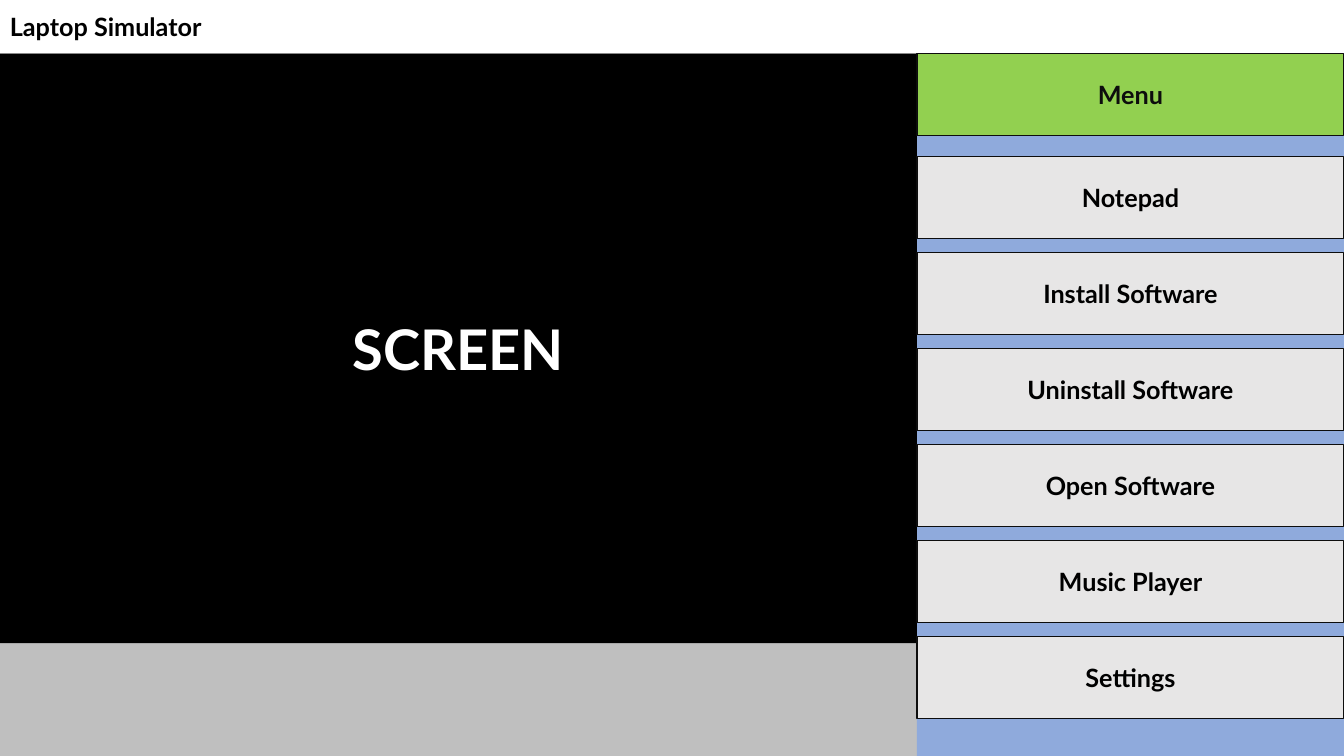
"""Build the Laptop Simulator slide with its screen and menu panel."""
from pptx import Presentation
from pptx.dml.color import RGBColor
from pptx.enum.shapes import MSO_SHAPE
from pptx.enum.text import MSO_ANCHOR, PP_ALIGN
from pptx.util import Cm, Pt

RECTANGLE = MSO_SHAPE.RECTANGLE
MIDDLE = MSO_ANCHOR.MIDDLE
LEFT, CENTER = PP_ALIGN.LEFT, PP_ALIGN.CENTER

PAGE_WIDTH, PAGE_HEIGHT = 33.87, 19.05
TITLE_HEIGHT = 1.35
SCREEN_WIDTH, SCREEN_HEIGHT = 23.11, 14.86
PANEL_WIDTH = PAGE_WIDTH - SCREEN_WIDTH
BUTTON_HEIGHT, BUTTON_PITCH = 2.06, 2.42
FIRST_BUTTON_TOP = 3.94
BUTTONS = ["Notepad", "Install Software", "Uninstall Software",
           "Open Software", "Music Player", "Settings"]


def color(code):
    return RGBColor.from_string(code)


class Painter:
    """Hold the text style and the current page."""

    font = "Lato"
    edge = "0D0D0D"

    def __init__(self, page):
        self.page = page

    def background(self, fill):
        self.page.background.fill.solid()
        self.page.background.fill.fore_color.rgb = color(fill)

    def box(self, left, top, width, height, fill):
        box = self.page.shapes.add_shape(
            RECTANGLE, Cm(left), Cm(top), Cm(width), Cm(height))
        box.shadow.inherit = False
        box.fill.solid()
        box.fill.fore_color.rgb = color(fill)
        box.line.fill.background()
        return box

    def text(self, box, words, ink="000000", size=18, align=CENTER):
        frame = box.text_frame
        frame.word_wrap = True
        frame.vertical_anchor = MIDDLE
        para = frame.paragraphs[0]
        para.alignment = align
        span = para.add_run()
        span.text = words
        span.font.name = self.font
        span.font.size = Pt(size)
        span.font.bold = True
        span.font.color.rgb = color(ink)

    def button(self, top, words, fill="E7E6E6", ink="000000"):
        box = self.box(SCREEN_WIDTH, top, PANEL_WIDTH, BUTTON_HEIGHT, fill)
        box.line.color.rgb = color(self.edge)
        box.line.width = Pt(0.75)
        self.text(box, words, ink)


deck = Presentation()
deck.slide_width, deck.slide_height = Cm(PAGE_WIDTH), Cm(PAGE_HEIGHT)
painter = Painter(deck.slides.add_slide(deck.slide_layouts[6]))
painter.background("BFBFBF")

title = painter.box(0, 0, PAGE_WIDTH, TITLE_HEIGHT, "FFFFFF")
painter.text(title, "Laptop Simulator", align=LEFT)
painter.box(SCREEN_WIDTH, TITLE_HEIGHT, PANEL_WIDTH,
            PAGE_HEIGHT - TITLE_HEIGHT, "8FAADC")
screen = painter.box(0, TITLE_HEIGHT, SCREEN_WIDTH, SCREEN_HEIGHT, "000000")
painter.text(screen, "SCREEN", "FFFFFF", 40)

painter.button(TITLE_HEIGHT, "Menu", "92D050", painter.edge)
for index, label in enumerate(BUTTONS):
    painter.button(FIRST_BUTTON_TOP + index * BUTTON_PITCH, label)

deck.save("out.pptx")
